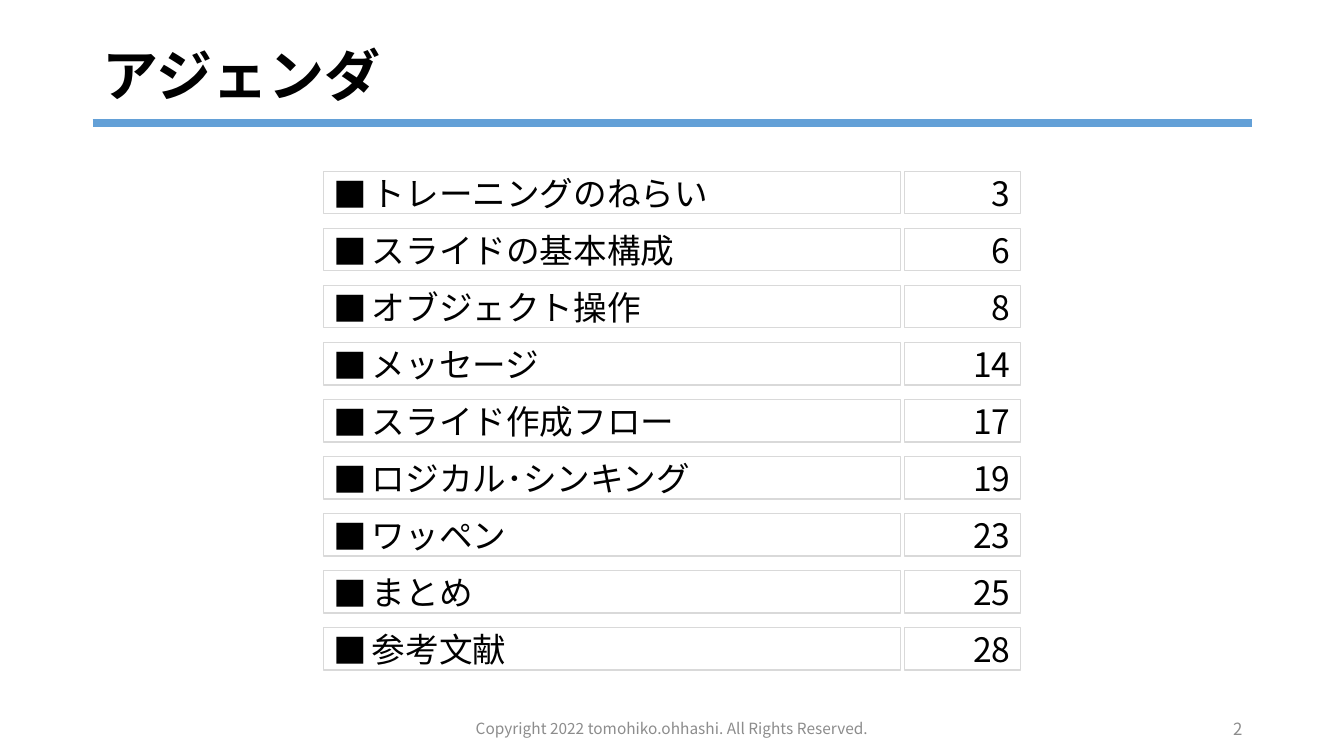
from lxml import etree
from pptx import Presentation
from pptx.dml.color import RGBColor
from pptx.enum.shapes import MSO_CONNECTOR, MSO_SHAPE
from pptx.enum.text import MSO_ANCHOR, PP_ALIGN
from pptx.oxml.ns import qn
from pptx.util import Inches, Pt

FONT = "Noto Sans CJK JP"
BLACK = RGBColor(0x00, 0x00, 0x00)
WHITE = RGBColor(0xFF, 0xFF, 0xFF)
GRAY = RGBColor(0x8C, 0x8C, 0x8C)
BORDER = RGBColor(0xD9, 0xD9, 0xD9)
BLUE = RGBColor(0x63, 0xA0, 0xD7)

AGENDA = [
    ("トレーニングのねらい", 3),
    ("スライドの基本構成", 6),
    ("オブジェクト操作", 8),
    ("メッセージ", 14),
    ("スライド作成フロー", 17),
    ("ロジカル･シンキング", 19),
    ("ワッペン", 23),
    ("まとめ", 25),
    ("参考文献", 28),
]
ROW_TOP, ROW_STEP, ROW_HEIGHT = 1.7, 0.566, 0.42


def write(sp, text, size, color, align, bold=False):
    """Put one formatted, vertically centred line into a shape."""
    tf = sp.text_frame
    tf.word_wrap = True
    tf.vertical_anchor = MSO_ANCHOR.MIDDLE
    tf.text = text
    p = tf.paragraphs[0]
    p.alignment = align
    r = p.runs[0]
    r.font.size, r.font.bold = Pt(size), bold
    r.font.color.rgb = color
    r.font.name = FONT
    # East Asian typeface
    etree.SubElement(r.font._element, qn("a:ea"), typeface=FONT)
    return p


def add_bullet(p):
    """Give a paragraph a square bullet with a hanging indent."""
    pPr = p._p.get_or_add_pPr()
    pPr.set("marL", str(Inches(0.38)))
    pPr.set("indent", str(-Inches(0.38)))
    etree.SubElement(pPr, qn("a:buFont"), typeface=FONT)
    etree.SubElement(pPr, qn("a:buChar"), char="■")


prs = Presentation()
prs.slide_width, prs.slide_height = Inches(13.33), Inches(7.5)
s = prs.slides.add_slide(prs.slide_layouts[5])

# Title and rule
title = s.shapes.title
title.left, title.top = Inches(0.92), Inches(0.4)
title.width, title.height = Inches(11.5), Inches(0.75)
p = write(title, "アジェンダ", 40, BLACK, PP_ALIGN.LEFT, bold=True)
p.line_spacing = 0.9

rule = s.shapes.add_connector(MSO_CONNECTOR.STRAIGHT, Inches(0.92), Inches(1.22),
                              Inches(12.42), Inches(1.22))
rule.line.color.rgb = BLUE
rule.line.width = Pt(6)
etree.SubElement(rule._element.spPr, qn("a:effectLst"))

# Agenda rows: topic and page number
for i, (topic, page) in enumerate(AGENDA):
    for text, left, width, align in ((topic, 3.21, 5.72, PP_ALIGN.LEFT),
                                     (str(page), 8.97, 1.15, PP_ALIGN.RIGHT)):
        sp = s.shapes.add_shape(MSO_SHAPE.RECTANGLE, Inches(left),
                                Inches(ROW_TOP + i * ROW_STEP),
                                Inches(width), Inches(ROW_HEIGHT))
        sp.shadow.inherit = False
        if i % 2:
            sp.fill.background()
        else:
            sp.fill.solid()
            sp.fill.fore_color.rgb = WHITE
        sp.line.color.rgb = BORDER
        sp.line.width = Pt(1)
        p = write(sp, text, 24, BLACK, align)
        if text == topic:
            add_bullet(p)

# Footer: copyright and slide number
for text, left, width, size, align in (
    ("Copyright 2022 tomohiko.ohhashi. All Rights Reserved.", 4.27, 4.79, 11, PP_ALIGN.CENTER),
    ("2", 11.35, 1.07, 12, PP_ALIGN.RIGHT),
):
    box = s.shapes.add_textbox(Inches(left), Inches(7.1), Inches(width), Inches(0.25))
    write(box, text, size, GRAY, align)

prs.save("out.pptx")
